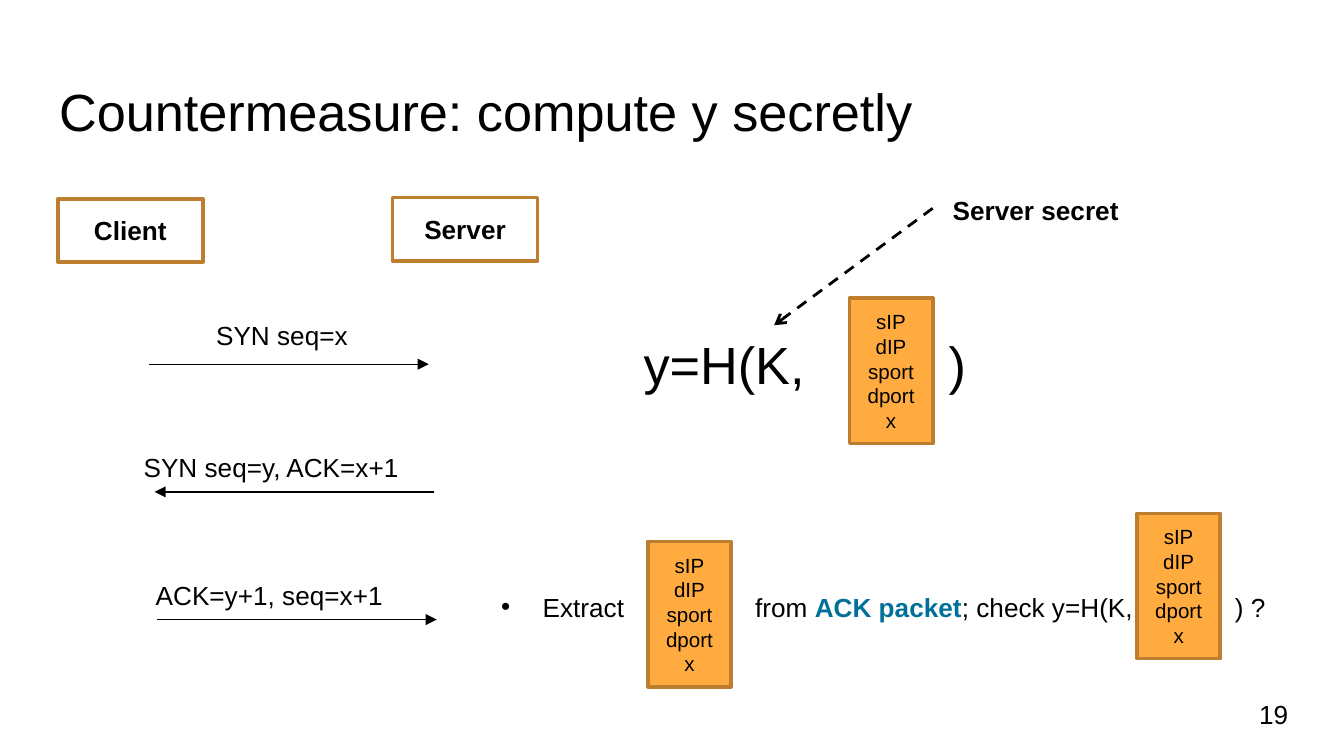
from dataclasses import dataclass

from lxml import etree
from pptx import Presentation
from pptx.dml.color import RGBColor
from pptx.enum import dml, shapes, text
from pptx.oxml import ns
from pptx.util import Inches, Pt

BLACK = RGBColor(0x00, 0x00, 0x00)
WHITE = RGBColor(0xFF, 0xFF, 0xFF)
ORANGE = RGBColor(0xFF, 0xAB, 0x40)
BROWN = RGBColor(0xBD, 0x7F, 0x2F)
TEAL = RGBColor(0x00, 0x70, 0x99)
FONT = "Arial"
LINE_HEIGHT = 0.34
ARROW_LENGTH = 2.08


@dataclass
class Span:
    words: str
    color: RGBColor = BLACK
    bold: bool = False


@dataclass
class Message:
    """A labelled packet between client and server."""
    label: str
    label_at: tuple[float, float, float]
    arrow_at: tuple[float, float]
    to_server: bool = True


HOSTS = [("Client", 0.43, 1.48), ("Server", 2.92, 1.47)]
MESSAGES = [
    Message("SYN seq=x", (1.51, 2.33, 1.24), (1.11, 2.71)),
    Message("SYN seq=y, ACK=x+1", (0.97, 3.31, 2.42), (1.15, 3.66), to_server=False),
    Message("ACK=y+1, seq=x+1", (1.06, 4.26, 2.01), (1.17, 4.61)),
]
HEADER_FIELDS = ["sIP", "dIP", "sport", "dport", "x"]
HEADERS_AT = [(6.32, 2.22), (4.82, 4.03), (8.46, 3.82)]


def write(frame, lines, *, size=14, align=None, anchor=text.MSO_ANCHOR.TOP,
          inset=0.05, bullet_indent=0.0, tab=0.0) -> None:
    """Fill a text frame; each line is a list of spans."""
    frame.word_wrap = True
    frame.auto_size = text.MSO_AUTO_SIZE.NONE
    frame.vertical_anchor = anchor
    frame.margin_left = frame.margin_right = Inches(0.1)
    frame.margin_top = frame.margin_bottom = Inches(inset)
    for index, spans in enumerate(lines):
        para = frame.add_paragraph() if index else frame.paragraphs[0]
        para.alignment = align
        props = para._p.get_or_add_pPr()
        if bullet_indent:
            props.set("marL", str(Inches(bullet_indent)))
            props.set("indent", str(-Inches(bullet_indent)))
            etree.SubElement(props, ns.qn("a:buFont"), typeface=FONT)
            etree.SubElement(props, ns.qn("a:buChar"), char="•")
        if tab:
            stops = etree.SubElement(props, ns.qn("a:tabLst"))
            etree.SubElement(stops, ns.qn("a:tab"), pos=str(Inches(tab)), algn="l")
        for span in spans:
            run = para.add_run()
            run.text = span.words
            run.font.name = FONT
            run.font.size = Pt(size)
            run.font.bold = span.bold
            run.font.color.rgb = span.color


def add_text(page, left: float, top: float, width: float, *spans: Span,
             height: float = LINE_HEIGHT, **style) -> None:
    box = page.shapes.add_textbox(
        Inches(left), Inches(top), Inches(width), Inches(height))
    write(box.text_frame, [spans], **style)


def add_box(page, left: float, top: float, width: float, height: float,
            fill: RGBColor, lines, size: int) -> None:
    box = page.shapes.add_shape(
        shapes.MSO_SHAPE.RECTANGLE,
        Inches(left), Inches(top), Inches(width), Inches(height))
    box.shadow.inherit = False
    box.fill.solid()
    box.fill.fore_color.rgb = fill
    box.line.color.rgb = BROWN
    box.line.width = Pt(2)
    write(box.text_frame, lines, size=size,
          align=text.PP_ALIGN.CENTER, anchor=text.MSO_ANCHOR.MIDDLE)


def add_arrow(page, start: tuple[float, float], end: tuple[float, float], *,
              width: float = 0.75, head: str = "triangle", dashed: bool = False) -> None:
    arrow = page.shapes.add_connector(
        shapes.MSO_CONNECTOR.STRAIGHT, *(Inches(value) for value in (*start, *end)))
    arrow.line.color.rgb = BLACK
    arrow.line.width = Pt(width)
    if dashed:
        arrow.line.dash_style = dml.MSO_LINE.DASH
    etree.SubElement(arrow.line._get_or_add_ln(), ns.qn("a:tailEnd"), type=head)
    etree.SubElement(arrow._element.spPr, ns.qn("a:effectLst"))


def main() -> None:
    deck = Presentation()
    deck.slide_width = Inches(10)
    deck.slide_height = deck.slide_width * 9 // 16
    page = deck.slides.add_slide(deck.slide_layouts[5])

    title = page.shapes.title
    title.left, title.top = Inches(0.34), Inches(0.49)
    title.width, title.height = Inches(9.32), Inches(0.63)
    write(title.text_frame, [[Span("Countermeasure: compute y secretly")]],
          size=28, align=text.PP_ALIGN.LEFT, inset=0.1)

    for name, left, top in HOSTS:
        add_box(page, left, top, 1.08, 0.47, WHITE, [[Span(name, bold=True)]], 14)

    for message in MESSAGES:
        left, top = message.arrow_at
        ends = [(left, top), (left + ARROW_LENGTH, top)]
        add_arrow(page, *(ends if message.to_server else reversed(ends)))
        add_text(page, *message.label_at, Span(message.label))

    add_text(page, 4.69, 2.42, 2.91, Span("y=H(K,\t)"), height=0.57, size=28, tab=2.27)
    add_text(page, 3.63, 4.35, 1.2, Span("Extract"), bullet_indent=0.31)
    add_text(page, 5.52, 4.35, 4.4, Span("from "), Span("ACK packet", TEAL, True),
             Span("; check y=H(K,\t) ?"), tab=3.57)

    for left, top in HEADERS_AT:
        add_box(page, left, top, 0.62, 1.08, ORANGE,
                [[Span(field)] for field in HEADER_FIELDS], 11)

    add_arrow(page, (6.94, 1.55), (5.76, 2.42), width=1.5, head="arrow", dashed=True)
    add_text(page, 6.99, 1.4, 1.94, Span("Server secret", bold=True))
    add_text(page, 9.27, 5.1, 0.6, Span("19"), height=0.43,
             anchor=text.MSO_ANCHOR.MIDDLE, inset=0.1)

    deck.save("out.pptx")


if __name__ == "__main__":
    main()
